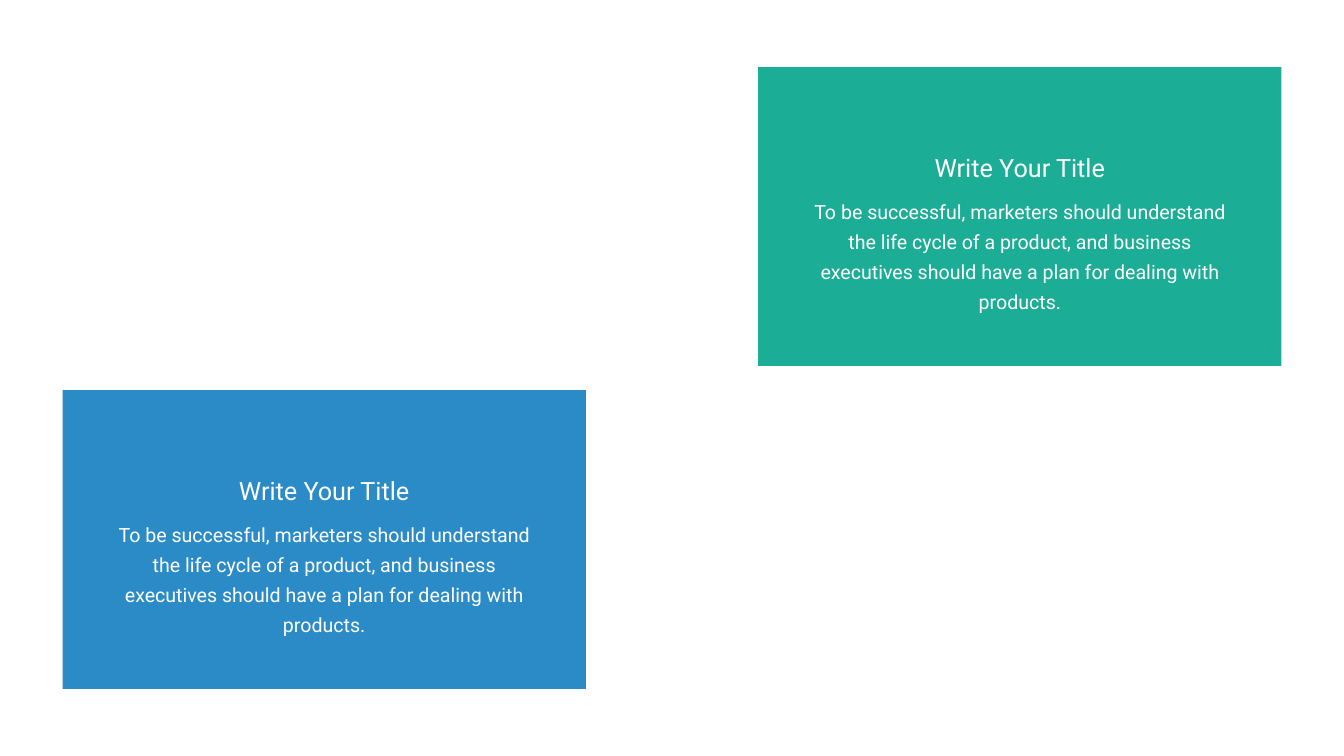
from pptx import Presentation
from pptx.dml.color import RGBColor
from pptx.enum.shapes import MSO_SHAPE
from pptx.enum.text import MSO_ANCHOR, MSO_AUTO_SIZE, PP_ALIGN
from pptx.util import Inches, Pt

RECTANGLE = MSO_SHAPE.RECTANGLE
CENTER = PP_ALIGN.CENTER
TOP = MSO_ANCHOR.TOP
GROW = MSO_AUTO_SIZE.SHAPE_TO_FIT_TEXT

SLIDE_W, SLIDE_H = 26.66, 15
MARGIN_X, MARGIN_Y = 1.24, 1.33
CARD_W, CARD_H = 10.38, 5.93
INSET_X, INSET_Y = 0.12, 0.06
FONT = "Roboto"
COLORS = {"background": "FFFFFF", "text": "FFFFFF", "green": "1CAD97", "blue": "2B8BC7"}

TITLE = "Write Your Title"
BODY = ("To be successful, marketers should understand the life cycle of a product, "
        "and business executives should have a plan for dealing with products.")


def rgb(name):
    return RGBColor.from_string(COLORS[name])


def add_centered_text(group, card_box, offset_y, width, height, text, size, line_spacing=None):
    """Add one paragraph, centred across the card and offset_y below its top."""
    left, top, card_width, _ = card_box
    textbox = group.shapes.add_textbox(
        Inches(left + (card_width - width) / 2), Inches(top + offset_y),
        Inches(width), Inches(height))
    frame = textbox.text_frame
    frame.word_wrap = True
    frame.auto_size = GROW
    frame.vertical_anchor = TOP
    frame.margin_left = frame.margin_right = Inches(INSET_X)
    frame.margin_top = frame.margin_bottom = Inches(INSET_Y)
    paragraph = frame.paragraphs[0]
    paragraph.alignment = CENTER
    if line_spacing:
        paragraph.line_spacing = Pt(line_spacing)
    run = paragraph.add_run()
    run.text = text
    run.font.name = FONT
    run.font.size = Pt(size)
    run.font.color.rgb = rgb("text")


def add_card(slide, box, color, title, body):
    group = slide.shapes.add_group_shape()
    panel = group.shapes.add_shape(RECTANGLE, *(Inches(length) for length in box))
    panel.shadow.inherit = False
    panel.fill.solid()
    panel.fill.fore_color.rgb = rgb(color)
    panel.line.fill.background()
    add_centered_text(group, box, 2.44, 8.9, 1.86, body, 28, line_spacing=43)
    add_centered_text(group, box, 1.63, 4.19, 0.71, title, 36)


def main():
    presentation = Presentation()
    presentation.slide_width = Inches(SLIDE_W)
    presentation.slide_height = Inches(SLIDE_H)
    slide = presentation.slides.add_slide(presentation.slide_layouts[6])
    slide.background.fill.solid()
    slide.background.fill.fore_color.rgb = rgb("background")

    right_column = SLIDE_W - MARGIN_X - CARD_W
    bottom_row = SLIDE_H - MARGIN_Y - CARD_H
    cards = [(right_column, MARGIN_Y, "green"), (MARGIN_X, bottom_row, "blue")]
    for left, top, color in cards:
        add_card(slide, (left, top, CARD_W, CARD_H), color, TITLE, BODY)
    presentation.save("out.pptx")


if __name__ == "__main__":
    main()
